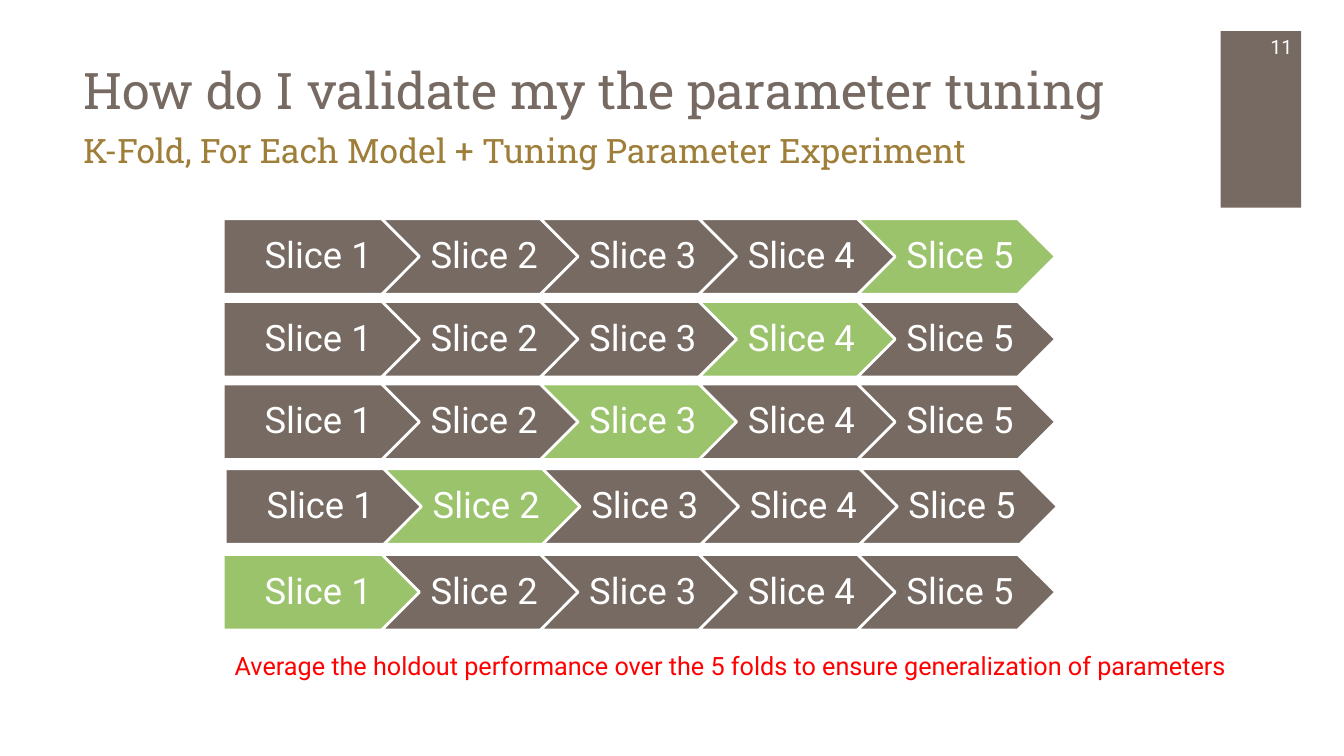
import pptx
import pptx.dml.color
import pptx.enum.shapes
import pptx.enum.text
import pptx.util

EMU_PER_PX = 3048  # 300 px to the inch
SHAPE = pptx.enum.shapes.MSO_SHAPE
ALIGN = pptx.enum.text.PP_ALIGN
ANCHOR = pptx.enum.text.MSO_ANCHOR


class Theme:
    brown, green, gold, red, white = "766A62", "9AC36C", "9E7E38", "FF0000", "FFFFFF"
    heading, body = "Roboto Slab", "Roboto"
    title, subtitle, slice, note, number = 36, 24, 26, 18, 14


FOLDS = 5
FOLD_LEFTS = [664, 664, 664, 670, 664]
FOLD_TOPS = [651, 897, 1143, 1395, 1650]
SLICE_W, SLICE_H, SLICE_PITCH = 590, 225, 472


def px(n):
    return pptx.util.Emu(n * EMU_PER_PX)


def rgb(color):
    return pptx.dml.color.RGBColor.from_string(color)


def write(tf, text, font, size, color, align=ALIGN.LEFT, anchor=ANCHOR.TOP):
    tf.word_wrap = True
    tf.vertical_anchor = anchor
    p = tf.paragraphs[0]
    p.alignment = align
    r = p.add_run()
    r.text = text
    r.font.name = font
    r.font.size = pptx.util.Pt(size)
    r.font.color.rgb = rgb(color)
    return p


def add_text(s, box, *style, **place):
    write(s.shapes.add_textbox(*map(px, box)).text_frame, *style, **place)


def add_block(shapes, kind, box, fill):
    sp = shapes.add_shape(kind, *map(px, box))
    sp.shadow.inherit = False
    sp.fill.solid()
    sp.fill.fore_color.rgb = rgb(fill)
    sp.line.fill.background()
    return sp


def add_slice(group, index, left, top, fill):
    first = index == 0
    kind = SHAPE.PENTAGON if first else SHAPE.CHEVRON
    sp = add_block(group.shapes, kind, (left, top, SLICE_W, SLICE_H), fill)
    sp.line.color.rgb = rgb(Theme.white)
    sp.line.width = pptx.util.Pt(2)
    tf = sp.text_frame
    tf.margin_left = px(45 if first else 21)
    tf.margin_right = px(12 if first else 0)
    tf.margin_top = tf.margin_bottom = px(24)
    p = write(tf, f"Slice {index + 1}", Theme.body, Theme.slice, Theme.white,
              ALIGN.CENTER, ANCHOR.MIDDLE)
    p.line_spacing = 0.9


def add_fold(s, left, top, holdout):
    """One row of slices, with the held-out slice in green."""
    group = s.shapes.add_group_shape()
    for i in range(FOLDS):
        fill = Theme.green if i == holdout else Theme.brown
        add_slice(group, i, left + i * SLICE_PITCH, top, fill)


def main():
    prs = pptx.Presentation()
    prs.slide_width, prs.slide_height = px(4000), px(2250)
    s = prs.slides.add_slide(prs.slide_layouts[6])

    add_block(s.shapes, SHAPE.RECTANGLE, (3633, 93, 240, 525), Theme.brown)
    add_text(s, (3633, 78, 243, 120), "11", Theme.body, Theme.number, Theme.white,
             align=ALIGN.RIGHT, anchor=ANCHOR.MIDDLE)
    add_text(s, (219, 45, 3306, 327), "How do I validate my the parameter tuning",
             Theme.heading, Theme.title, Theme.brown, anchor=ANCHOR.BOTTOM)
    add_text(s, (219, 372, 3306, 255),
             "K-Fold, For Each Model + Tuning Parameter Experiment",
             Theme.heading, Theme.subtitle, Theme.gold)

    for row, (left, top) in enumerate(zip(FOLD_LEFTS, FOLD_TOPS)):
        add_fold(s, left, top, FOLDS - 1 - row)

    add_text(s, (669, 1920, 3105, 120),
             "Average the holdout performance over the 5 folds "
             "to ensure generalization of parameters",
             Theme.body, Theme.note, Theme.red)
    prs.save("out.pptx")


if __name__ == "__main__":
    main()
